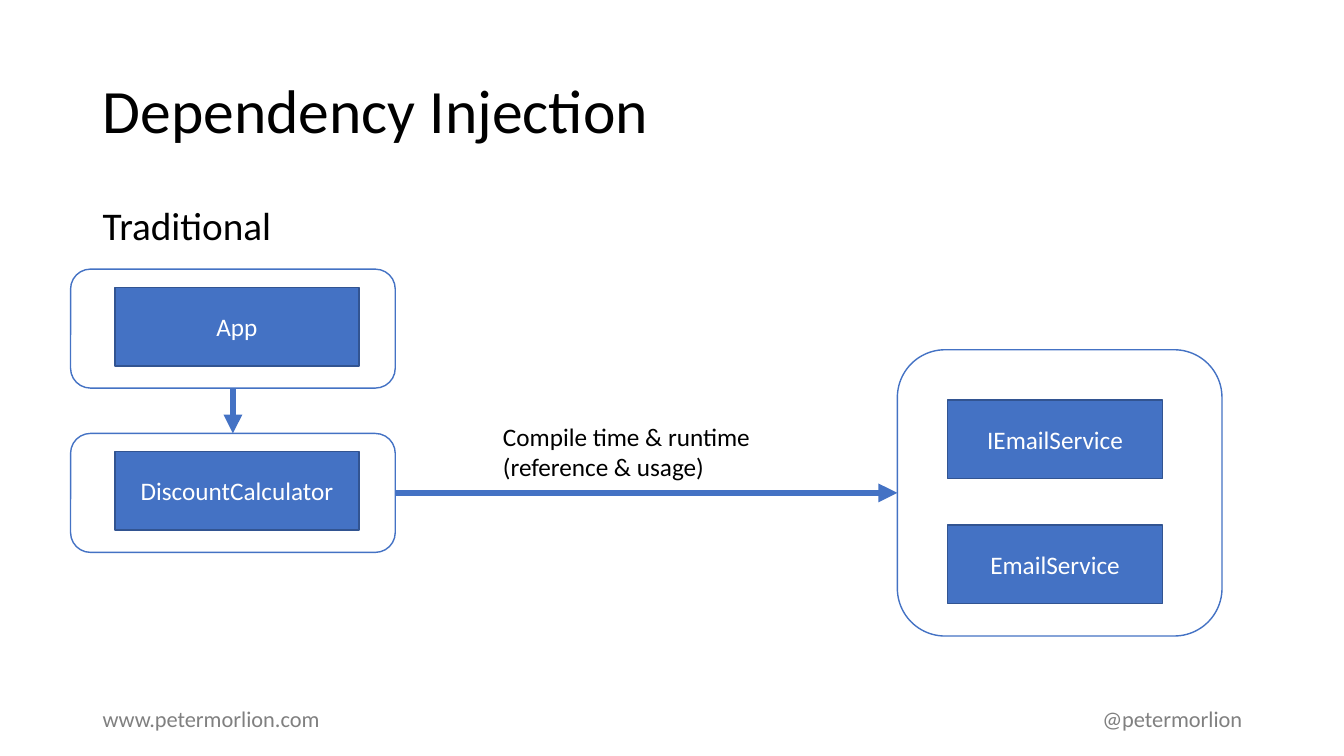
import lxml.etree
import pptx
import pptx.dml.color
import pptx.enum.shapes
import pptx.enum.text
import pptx.oxml.ns
import pptx.util

Inches = pptx.util.Inches
RGBColor = pptx.dml.color.RGBColor
Shape = pptx.enum.shapes.MSO_SHAPE
Align = pptx.enum.text.PP_ALIGN
Anchor = pptx.enum.text.MSO_ANCHOR
name_of = pptx.oxml.ns.qn

BLUE = RGBColor(0x44, 0x72, 0xC4)
DARK_BLUE = RGBColor(0x32, 0x54, 0x91)
WHITE = RGBColor(0xFF, 0xFF, 0xFF)
BLACK = RGBColor(0, 0, 0)
GRAY = RGBColor(0x80, 0x80, 0x80)

WIDTH, HEIGHT = 13.33, 7.5
MARGIN = 0.92
CONTENT_WIDTH = 11.5
GROUP_WIDTH = 3.22
CLASS_HEIGHT = 0.78


def write(shape, lines, size, color, align=Align.LEFT, anchor=Anchor.TOP, spacing=1.0):
    frame = shape.text_frame
    frame.word_wrap = True
    frame.vertical_anchor = anchor
    frame.text = "\n".join(lines)
    for para in frame.paragraphs:
        para.alignment = align
        para.line_spacing = spacing
        para.font.name = "Calibri"
        para.font.size = pptx.util.Pt(size)
        para.font.color.rgb = color


def add_text(page, box, lines, size, color, **layout):
    shape = page.shapes.add_textbox(*map(Inches, box))
    write(shape, lines, size, color, **layout)
    return shape


def add_block(page, kind, box, fill, line):
    shape = page.shapes.add_shape(kind, *map(Inches, box))
    shape.shadow.inherit = False
    shape.fill.solid()
    shape.fill.fore_color.rgb = fill
    shape.line.color.rgb = line
    shape.line.width = pptx.util.Pt(1)
    return shape


def add_component(page, box, class_names, inset, first, step, class_width):
    left, top, width, height = box
    add_block(page, Shape.ROUNDED_RECTANGLE, box, WHITE, BLUE)
    for row, class_name in enumerate(class_names):
        place = (left + inset, top + first + row * step, class_width, CLASS_HEIGHT)
        block = add_block(page, Shape.RECTANGLE, place, BLUE, DARK_BLUE)
        write(block, [class_name], 18, WHITE, Align.CENTER, Anchor.MIDDLE)


def add_arrow(page, start, end):
    arrow = page.shapes.add_connector(
        pptx.enum.shapes.MSO_CONNECTOR.STRAIGHT, *map(Inches, start + end))
    arrow.line.color.rgb = BLUE
    arrow.line.width = pptx.util.Pt(4.5)
    line = arrow.line._get_or_add_ln()
    lxml.etree.SubElement(line, name_of("a:tailEnd"), type="triangle")
    lxml.etree.SubElement(arrow._element.spPr, name_of("a:effectLst"))


def add_heading(page, box):
    left, top, width, height = box
    add_text(page, (left, top, width, 1.45), ["Dependency Injection"], 44, BLACK,
             anchor=Anchor.MIDDLE, spacing=0.9)
    body = add_text(page, (left, top + 1.6, width, height - 1.6), [], 28, BLACK)
    para = body.text_frame.paragraphs[0]
    properties = para._p.get_or_add_pPr()
    properties.set("marL", str(Inches(0.25)))
    properties.set("indent", str(Inches(-0.25)))
    lxml.etree.SubElement(properties, name_of("a:buFont"), typeface="Arial")
    lxml.etree.SubElement(properties, name_of("a:buChar"), char="•")
    write(body, ["Traditional"], 28, BLACK, spacing=0.9)


def add_diagram(page, box):
    left, top, width, height = box
    group_height, step = 1.18, 1.63
    for row, class_name in enumerate(["App", "DiscountCalculator"]):
        add_component(page, (left, top + row * step, GROUP_WIDTH, group_height),
                      [class_name], 0.44, 0.18, 0, 2.42)
    service_left = left + width - GROUP_WIDTH
    add_component(page, (service_left, top + 0.8, GROUP_WIDTH, height - 0.8),
                  ["IEmailService", "EmailService"], 0.5, 0.5, 1.24, 2.13)
    center = left + GROUP_WIDTH / 2
    middle = top + step + group_height / 2
    add_arrow(page, (center, top + group_height), (center, top + step))
    add_arrow(page, (left + GROUP_WIDTH, middle), (service_left, middle))
    add_text(page, (left + 4.19, middle - 0.76, GROUP_WIDTH, 0.71),
             ["Compile time & runtime", "(reference & usage)"], 18, BLACK)


def add_footer(page, box):
    left, top, width, height = box
    half = width / 2
    add_text(page, (left, top, half, height), ["www.petermorlion.com"], 16, GRAY)
    add_text(page, (left + half, top, half, height), ["@petermorlion"], 16, GRAY,
             align=Align.RIGHT)


def main():
    deck = pptx.Presentation()
    deck.slide_width, deck.slide_height = Inches(WIDTH), Inches(HEIGHT)
    page = deck.slides.add_slide(deck.slide_layouts[6])
    add_footer(page, (MARGIN, 6.95, CONTENT_WIDTH, 0.37))
    add_heading(page, (MARGIN, 0.4, CONTENT_WIDTH, 2.2))
    add_diagram(page, (0.7, 2.67, 11.42, 3.64))
    deck.save("out.pptx")


if __name__ == "__main__":
    main()
